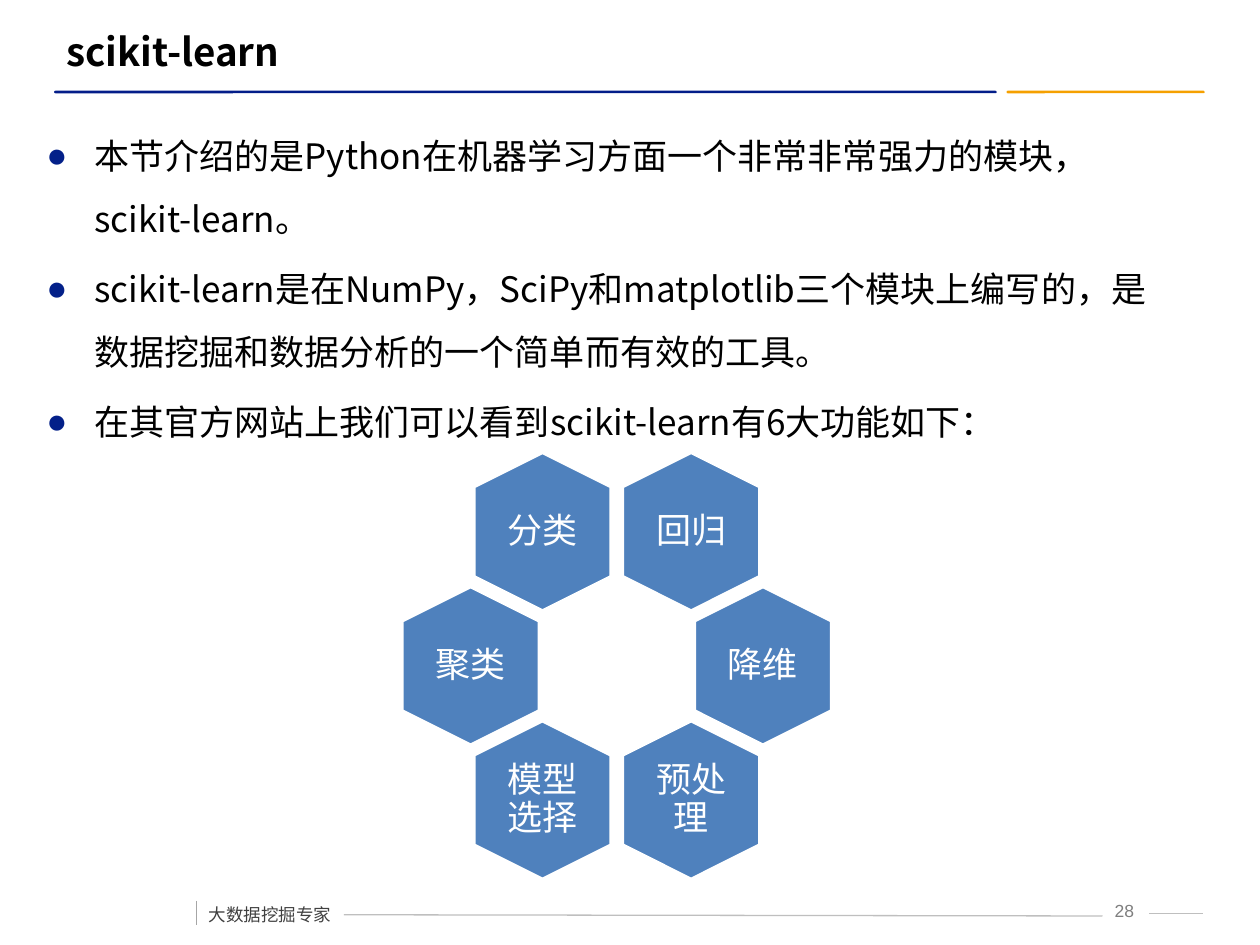
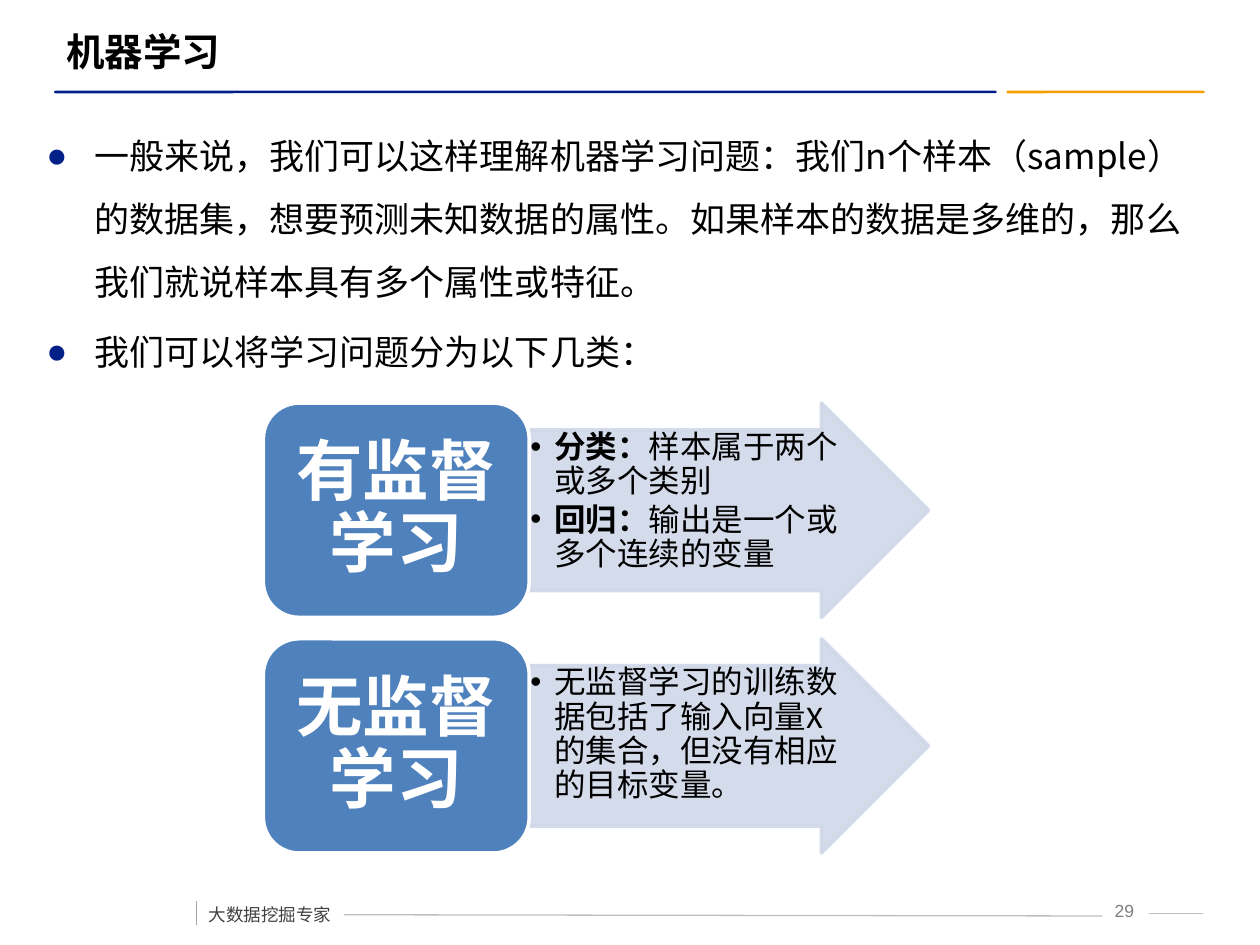
from dataclasses import dataclass
from lxml.etree import SubElement
from pptx import Presentation
from pptx.dml.color import RGBColor
from pptx.enum.shapes import MSO_CONNECTOR, MSO_SHAPE
from pptx.enum.text import MSO_ANCHOR, PP_ALIGN
from pptx.oxml.ns import qn
from pptx.util import Inches, Pt


@dataclass(frozen=True)
class Theme:
    """Colours, fonts, type sizes and line widths."""
    navy: str = "031D89"
    gold: str = "F5A000"
    dot: str = "032089"
    blue: str = "4F81BD"
    pale: str = "D0D8E8"
    white: str = "FFFFFF"
    black: str = "000000"
    dark: str = "404040"
    grey: str = "7F7F7F"
    rule: str = "BFBFBF"
    tick: str = "A6A6A6"
    han: str = "Noto Sans CJK SC"
    sans: str = "Arial"
    label: str = "Calibri"
    small: int = 10
    note: int = 18
    body: int = 20
    title: int = 22
    large: int = 38
    thin: float = 0.75
    edge: float = 2


def put(item, **vals):
    """Set each named value on an item."""
    for name, val in vals.items():
        setattr(item, name, val)


def cell(num):
    """Turn grid cells, ten to the inch, into a length."""
    return Inches(num / 10)


class Deck:
    """Draws elements on the current slide in one style."""

    def __init__(self, theme):
        """Open an empty deck of 100 columns by 75 rows."""
        self.theme = theme
        self.prs = Presentation()
        put(self.prs, slide_width=cell(100), slide_height=cell(75))
        self.slide = None

    def fill(self, host, paras, size, color, face, bold=False, form=None, mark=None, pad=None, **frame):
        """Fill a shape with paragraphs, each a text or a list of bold and plain runs."""
        text = host.text_frame
        put(text, **{"word_wrap": True, "vertical_anchor": MSO_ANCHOR.TOP, **frame})
        if pad:
            names = ("margin_left", "margin_top", "margin_right", "margin_bottom")
            put(text, **dict(zip(names, map(cell, pad))))
        for num, runs in enumerate(paras):
            para = text.add_paragraph() if num else text.paragraphs[0]
            put(para, **{"alignment": PP_ALIGN.LEFT, **(form or {})})
            if mark:
                self.bullet(para, *mark)
            for words, heavy in [(runs, bold)] if isinstance(runs, str) else runs:
                run = para.add_run()
                run.text = words
                put(run.font, size=Pt(size), bold=heavy, name=face)
                run.font.color.rgb = RGBColor.from_string(color)
                SubElement(run.font._element, qn("a:ea"), typeface=self.theme.han)

    def bullet(self, para, char, color, dent):
        """Give a paragraph a hanging bullet."""
        props = para._p.get_or_add_pPr()
        props.set("marL", str(cell(dent)))
        props.set("indent", str(-cell(dent)))
        SubElement(SubElement(props, qn("a:buClr")), qn("a:srgbClr"), val=color)
        SubElement(props, qn("a:buFont"), typeface=self.theme.sans)
        SubElement(props, qn("a:buChar"), char=char)

    def text(self, at, paras, *style, **form):
        """Add a text box."""
        box = self.slide.shapes.add_textbox(*map(cell, at))
        self.fill(box, paras, *style, **form)

    def shape(self, kind, at, fill, line=None, adj=(), turn=0, alpha=None):
        """Add a filled preset shape."""
        item = self.slide.shapes.add_shape(kind, *map(cell, at))
        item.shadow.inherit = False
        item.rotation = turn
        for num, val in enumerate(adj):
            item.adjustments[num] = val
        item.fill.solid()
        item.fill.fore_color.rgb = RGBColor.from_string(fill)
        if line:
            item.line.color.rgb = RGBColor.from_string(line)
            item.line.width = Pt(self.theme.edge)
        else:
            item.line.fill.background()
        if alpha:
            for tint in item.element.spPr.iter(qn("a:srgbClr")):
                SubElement(tint, qn("a:alpha"), val=str(alpha * 1000))
        return item

    def line(self, ends, color):
        """Add a thin straight line."""
        item = self.slide.shapes.add_connector(MSO_CONNECTOR.STRAIGHT, *map(cell, ends))
        item.line.color.rgb = RGBColor.from_string(color)
        item.line.width = Pt(self.theme.thin)
        SubElement(item.element.spPr, qn("a:effectLst"))

    def page(self, title, face, num):
        """Start a slide with its title, rules and footer."""
        t = self.theme
        self.slide = self.prs.slides.add_slide(self.prs.slide_layouts[6])
        for left, wide, color, bend in ((79.9, 15.7, t.gold, 0.36), (4.3, 74.8, t.navy, 0.5)):
            self.shape(MSO_SHAPE.ROUNDED_RECTANGLE, (left, 7.2, wide, 0.2), color, adj=[bend])
        self.text((86.7, 70.9, 4.7, 2.5), [f" {num}"], t.small, t.grey, t.sans,
                  form={"alignment": PP_ALIGN.CENTER})
        for ends, color in (((27.3, 72.6, 87.5, 72.7), t.rule),
                            ((91.2, 72.5, 95.5, 72.5), t.rule),
                            ((15.6, 71.5, 15.6, 73.4), t.tick)):
            self.line(ends, color)
        self.text((15.6, 70.4, 11.8, 3.5), ["大数据挖掘专家"], t.small, t.dark, t.han,
                  form={"line_spacing": 1.5, "space_before": Pt(6)}, word_wrap=False)
        self.text((4.3, 1.7, 91, 4.7), [title], t.title, t.black, face, True,
                  vertical_anchor=MSO_ANCHOR.MIDDLE)

    def body(self, wide, high, paras):
        """Add the bulleted main text."""
        t = self.theme
        self.text((2.7, 8.5, wide, high), paras, t.body, t.black, t.han,
                  form={"line_spacing": 1.5, "space_before": Pt(4)}, mark=("●", t.dot, 3.8))

    def label(self, host, words, size, bold, pad):
        """Centre a white label in a shape."""
        t = self.theme
        self.fill(host, [words], size, t.white, t.label, bold, pad=pad,
                  form={"alignment": PP_ALIGN.CENTER, "line_spacing": 0.9},
                  vertical_anchor=MSO_ANCHOR.MIDDLE)

    def hexes(self, mid, top, step, rows):
        """Draw pairs of upright hexagons mirrored about a centre column."""
        t = self.theme
        long, wide, tall, slim = 12.6, 10.9, 8.6, 7.5
        for row, (gap, pair) in enumerate(rows):
            y = top + row * step
            for side, words in zip((-1, 1), pair):
                x = mid + side * gap
                self.shape(MSO_SHAPE.HEXAGON, (x - long / 2, y - wide / 2, long, wide),
                           t.blue, t.white, [0.25], 90)
                box = self.slide.shapes.add_textbox(
                    *map(cell, (x - slim / 2, y - tall / 2, slim, tall)))
                self.label(box, words, t.body, False, (0, 0, 0, 0))

    def branch(self, top, name, paras):
        """Draw a named block with an arrow of details."""
        t = self.theme
        high = 17
        arrow = self.shape(MSO_SHAPE.RIGHT_ARROW, (42, top, 31.7, high), t.pale, t.pale,
                           (0.75, 0.5), alpha=90)
        self.fill(arrow, paras, t.note, t.black, t.label, pad=[0.1] * 4,
                  form={"line_spacing": 0.9, "space_after": Pt(2.7)}, mark=("•", t.black, 1.9))
        block = self.shape(MSO_SHAPE.ROUNDED_RECTANGLE, (20.9, top, 21.1, high), t.blue, t.white)
        self.label(block, name, t.large, True, (1.6, 0.8, 1.6, 0.8))


def main():
    """Build both slides and save them."""
    theme = Theme()
    deck = Deck(theme)

    deck.page("scikit-learn", theme.han, 28)
    deck.body(91.4, 28.2, [
        "本节介绍的是Python在机器学习方面一个非常非常强力的模块，scikit-learn。",
        "scikit-learn是在NumPy，SciPy和matplotlib三个模块上编写的，是数据挖掘和数据分析的一个简单而有效的工具。",
        "在其官方网站上我们可以看到scikit-learn有6大功能如下："])
    deck.hexes(48.95, 42.2, 10.65, [
        (5.9, ("分类", "回归")), (11.6, ("聚类", "降维")), (5.9, ("模型选择", "预处理"))])

    deck.page("机器学习", theme.sans, 29)
    deck.body(94.5, 21.9, [
        "一般来说，我们可以这样理解机器学习问题：我们n个样本（sample）的数据集，想要预测未知数据的属性。"
        "如果样本的数据是多维的，那么我们就说样本具有多个属性或特征。",
        "我们可以将学习问题分为以下几类："])
    branches = [
        ("有监督学习", [[("分类：", True), ("样本属于两个或多个类别", False)],
                   [("回归：", True), ("输出是一个或多个连续的变量", False)]]),
        ("无监督学习", ["无监督学习的训练数据包括了输入向量X的集合，但没有相应的目标变量。"])]
    for num, (name, paras) in enumerate(branches):
        deck.branch(32 + num * 18.7, name, paras)

    deck.prs.save("out.pptx")


if __name__ == "__main__":
    main()
